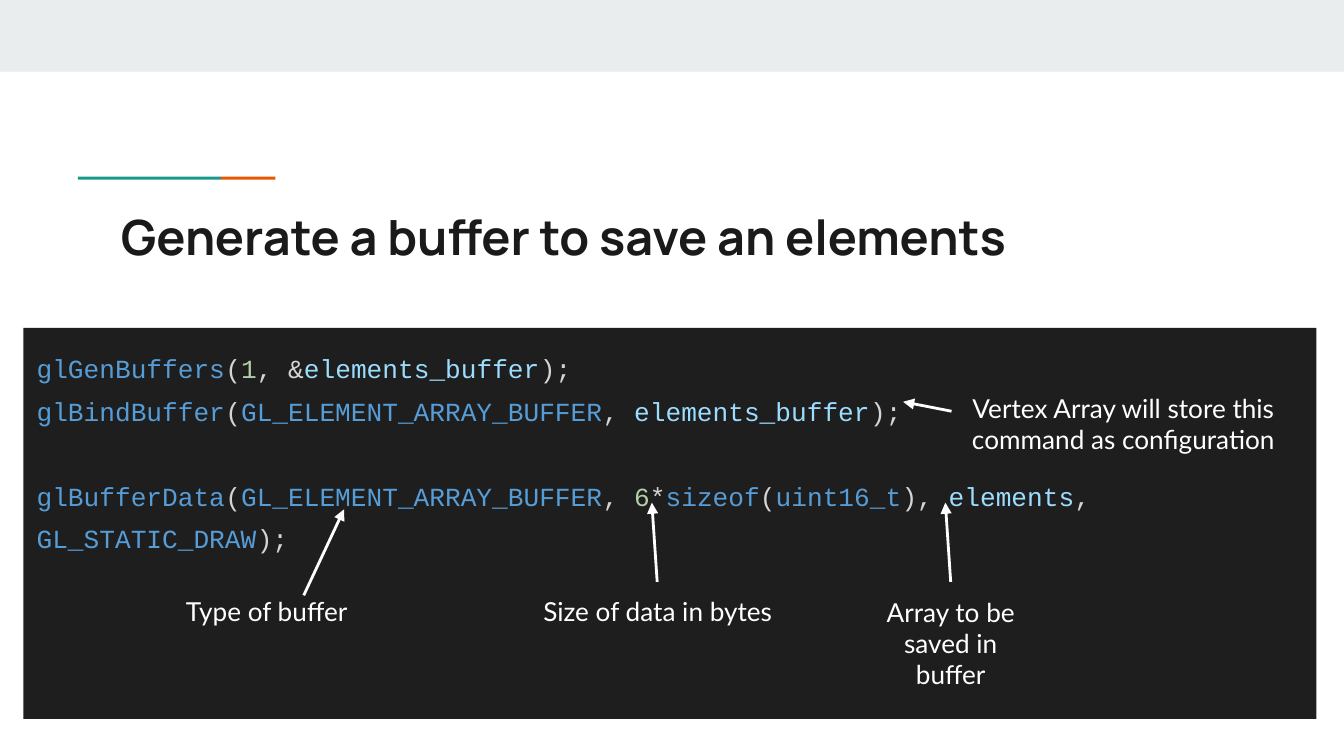
"""Build a slide that explains the calls filling an element buffer."""
from dataclasses import dataclass

from lxml.etree import SubElement
from pptx import Presentation
from pptx.dml.color import RGBColor as RGB
from pptx.enum.shapes import MSO_CONNECTOR as Connector, MSO_SHAPE as Shape
from pptx.enum.text import MSO_ANCHOR as Anchor, MSO_AUTO_SIZE as AutoSize, PP_ALIGN as Align
from pptx.oxml.ns import qn
from pptx.util import Inches, Pt


@dataclass(frozen=True)
class Theme:
    band: str = "E9EDEE"
    teal: str = "1A9988"
    orange: str = "EB5600"
    ink: str = "1A1A1A"
    panel: str = "1E1E1E"
    note: str = "FFFFFF"
    keyword: str = "569CD6"
    plain: str = "D4D4D4"
    number: str = "B5CEA8"
    variable: str = "9CDCFE"
    heading_font: str = "Manrope"
    code_font: str = "Courier New"
    note_font: str = "Lato"
    heading_size: int = 26
    text_size: int = 14
    arrow_width: float = 1.5
    code_spacing: float = 1.36
    code_gap: float = 22.6


class SlideBuilder:
    """Draws on a grid of square cells, 100 to the slide's width."""

    def __init__(self, deck, theme):
        self.theme = theme
        self.cell = deck.slide_width / 100
        self.slide = deck.slides.add_slide(deck.slide_layouts[5])
        self.shapes = self.slide.shapes

    def grid(self, *cells):
        return [round(count * self.cell) for count in cells]

    def frame(self, shape):
        text = shape.text_frame
        text.word_wrap = True
        text.auto_size = AutoSize.NONE
        text.vertical_anchor = Anchor.TOP
        text.margin_left = text.margin_right = Inches(0.1)
        text.margin_top = text.margin_bottom = Inches(0.1)
        return text

    def style(self, paragraph, family, size, color=None, bold=False, align=Align.LEFT):
        paragraph.alignment = align
        font = paragraph.font
        font.name, font.size, font.bold = family, Pt(size), bold
        if color:
            font.color.rgb = RGB.from_string(color)

    def title(self, wording, *place):
        heading = self.shapes.title
        heading.left, heading.top, heading.width, heading.height = self.grid(*place)
        text = self.frame(heading)
        text.text = wording
        self.style(text.paragraphs[0], self.theme.heading_font,
                   self.theme.heading_size, self.theme.ink, bold=True)

    def block(self, color, *place):
        block = self.shapes.add_shape(Shape.RECTANGLE, *self.grid(*place))
        block.shadow.inherit = False
        block.fill.solid()
        block.fill.fore_color.rgb = RGB.from_string(color)
        block.line.fill.background()
        return block

    def code(self, groups, *place):
        text = self.frame(self.block(self.theme.panel, *place))
        for group_index, statements in enumerate(groups):
            for line_index, tokens in enumerate(statements):
                first = group_index == line_index == 0
                statement = text.paragraphs[0] if first else text.add_paragraph()
                statement.line_spacing = self.theme.code_spacing
                if group_index and line_index == 0:
                    statement.space_before = Pt(self.theme.code_gap)
                self.style(statement, self.theme.code_font, self.theme.text_size)
                for color, wording in tokens:
                    token = statement.add_run()
                    token.text = wording
                    token.font.color.rgb = RGB.from_string(color)

    def note(self, wording, *place):
        text = self.frame(self.shapes.add_textbox(*self.grid(*place)))
        text.text = wording
        self.style(text.paragraphs[0], self.theme.note_font,
                   self.theme.text_size, self.theme.note, align=Align.CENTER)

    def arrow(self, *ends):
        arrow = self.shapes.add_connector(Connector.STRAIGHT, *self.grid(*ends))
        arrow.line.color.rgb = RGB.from_string(self.theme.note)
        arrow.line.width = Pt(self.theme.arrow_width)
        outline = arrow._element.spPr
        SubElement(outline.find(qn("a:ln")), qn("a:tailEnd"), type="triangle")
        SubElement(outline, qn("a:effectLst"))


def main():
    deck = Presentation()
    deck.slide_width = Inches(10)
    deck.slide_height = deck.slide_width * 9 // 16
    theme = Theme()
    page = SlideBuilder(deck, theme)

    page.block(theme.band, 0, 0, 100, 5.33)
    page.block(theme.teal, 5.8, 13.15, 10.65, 0.22)
    page.block(theme.orange, 16.45, 13.15, 4.05, 0.22)
    page.title("Generate a buffer to save an elements", 8, 14.4, 84.1, 5.9)

    keyword, plain, number, variable = theme.keyword, theme.plain, theme.number, theme.variable
    target = [(plain, "("), (keyword, "GL_ELEMENT_ARRAY_BUFFER"), (plain, ", ")]
    close = (plain, ");")
    generate = [(keyword, "glGenBuffers"), (plain, "("), (number, "1"), (plain, ", &"),
                (variable, "elements_buffer"), close]
    bind = [(keyword, "glBindBuffer"), *target, (variable, "elements_buffer"), close]
    upload = [(keyword, "glBufferData"), *target, (number, "6"), (plain, "*"),
              (keyword, "sizeof"), (plain, "("), (keyword, "uint16_t"), (plain, "), "),
              (variable, "elements"), (plain, ", "), (keyword, "GL_STATIC_DRAW"), close]
    page.code([[generate, bind], [upload]], 1.74, 24.4, 96.2, 29.1)

    explanations = [
        ("Type of buffer", (12.2, 43.3, 15.3, 4.4), (22.6, 44.3, 25.6, 37.9)),
        ("Size of data in bytes", (39.1, 43.3, 19.7, 4.4), (48.9, 43.3, 48.5, 37.4)),
        ("Array to be saved in buffer", (63.74, 43.34, 14, 7.1), (70.74, 43.3, 70.34, 37.4)),
        ("Vertex Array will store this command as configuration",
         (70.34, 28.16, 26.5, 5.9), (70.8, 30.6, 67.2, 29.9)),
    ]
    for wording, place, ends in explanations:
        page.note(wording, *place)
        page.arrow(*ends)

    deck.save("out.pptx")


if __name__ == "__main__":
    main()
